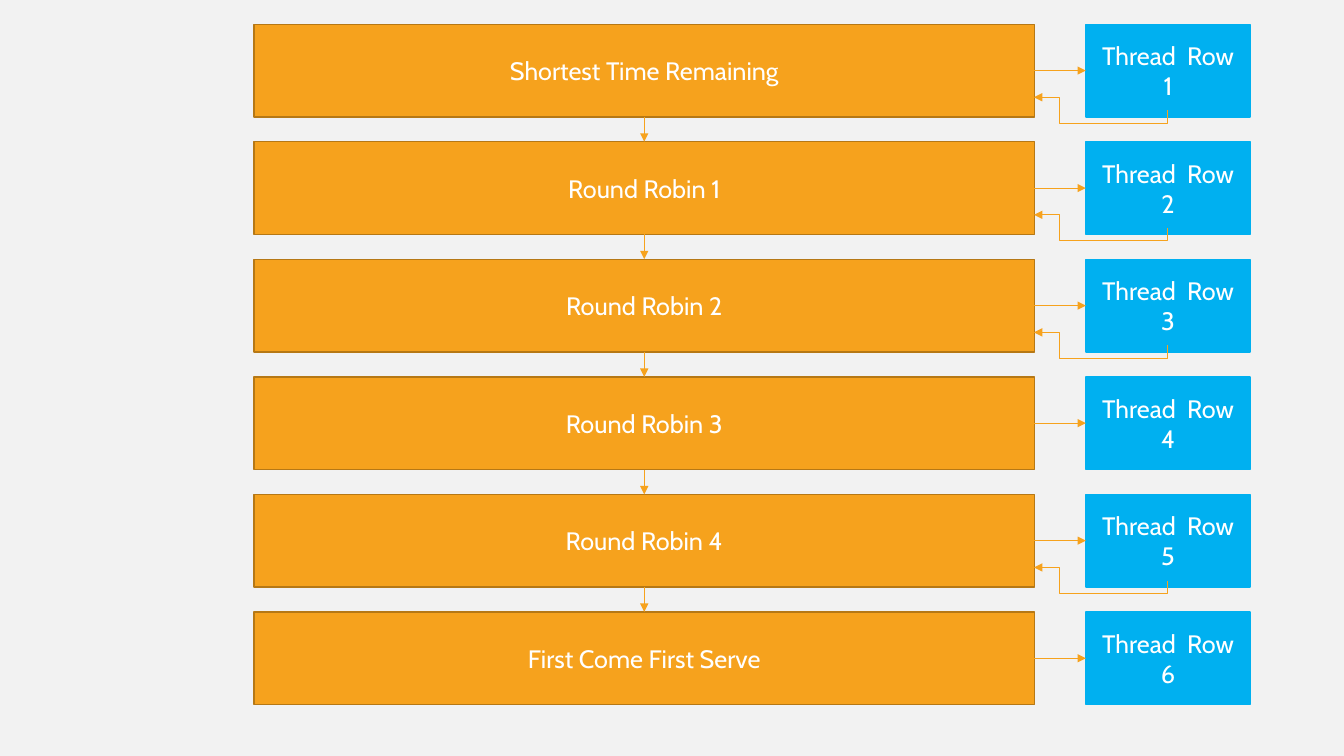
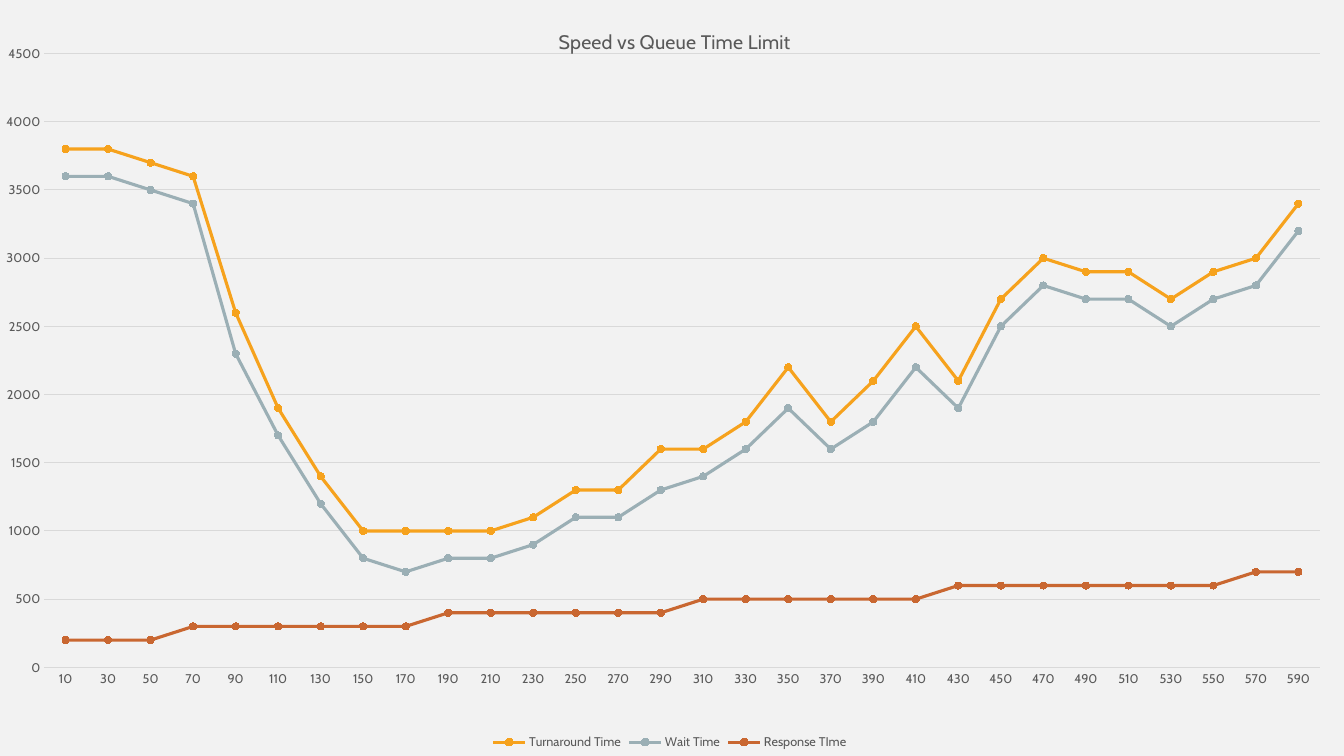
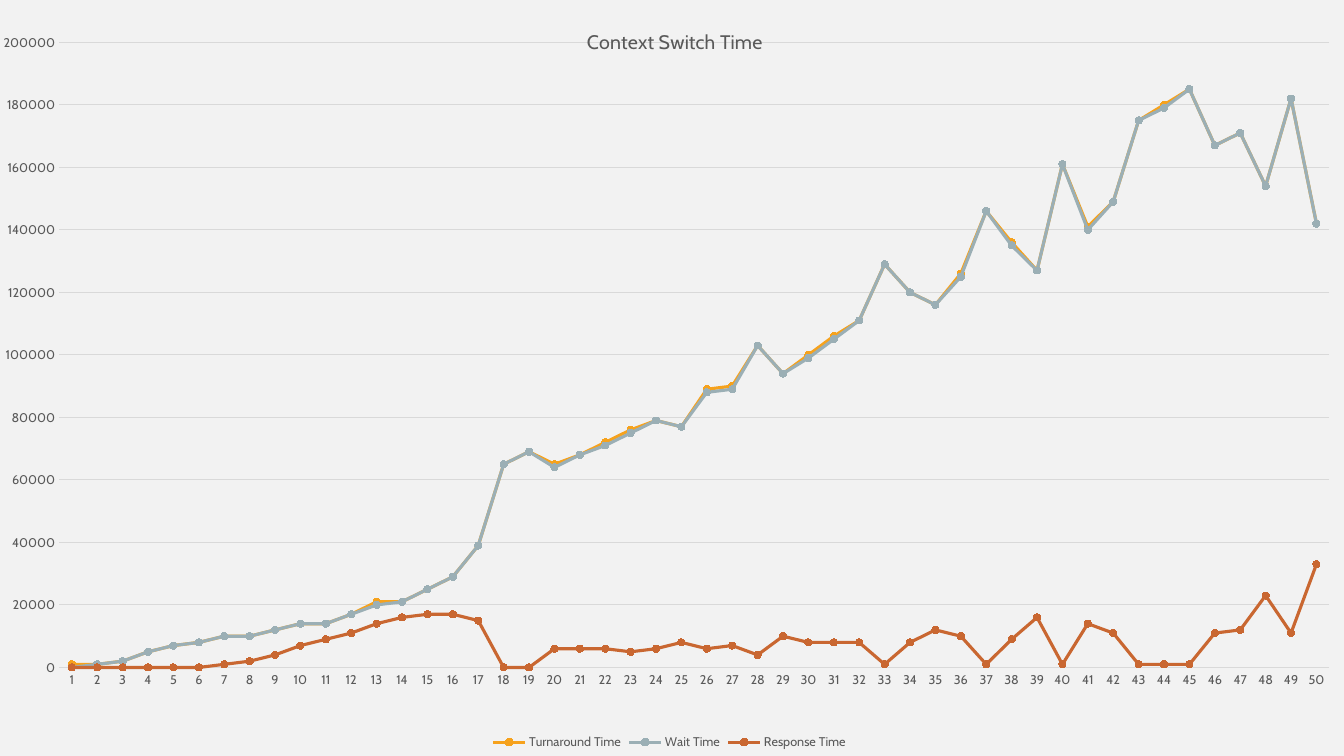
from lxml import etree
from pptx import Presentation
from pptx.chart.data import CategoryChartData
from pptx.dml.color import RGBColor
from pptx.enum.chart import XL_CHART_TYPE, XL_LEGEND_POSITION, XL_MARKER_STYLE, XL_TICK_MARK
from pptx.enum.shapes import MSO_CONNECTOR, MSO_SHAPE
from pptx.enum.text import MSO_ANCHOR, PP_ALIGN
from pptx.oxml.ns import qn
from pptx.util import Inches, Pt

RECTANGLE = MSO_SHAPE.RECTANGLE
STRAIGHT, ELBOW = MSO_CONNECTOR.STRAIGHT, MSO_CONNECTOR.ELBOW
TOP, LEFT, BOTTOM, RIGHT = range(4)
NO_TICKS = XL_TICK_MARK.NONE

FONT = "Cabin"
BACKGROUND, WHITE = "F2F2F2", "FFFFFF"
ORANGE, DARK_ORANGE, BLUE = "F6A21D", "B67815", "00B0F0"
GRAY_BLUE, RUST = "9BAFB5", "C96731"
TEXT_GRAY, GRID_GRAY = "595959", "D9D9D9"


def color(hex_string):
    return RGBColor.from_string(hex_string)


def set_layout(element, target=None, **edges):
    """Place a chart part by fractions of the chart area."""
    layout = element.find(qn("c:layout"))
    if layout is None:
        layout = etree.Element(qn("c:layout"))
        leading = (qn("c:tx"), qn("c:legendPos"))
        element.insert(sum(child.tag in leading for child in element), layout)
    manual = etree.SubElement(layout, qn("c:manualLayout"))
    settings = {"layoutTarget": target} if target else {}
    settings.update(xMode="edge", yMode="edge", **edges)
    for name, value in settings.items():
        etree.SubElement(manual, qn("c:" + name)).set("val", str(value))


# Shared presentation setup
presentation = Presentation()
presentation.slide_width = Inches(13.33)
presentation.slide_height = Inches(7.5)
background = presentation.slide_master.background.fill
background.solid()
background.fore_color.rgb = color(BACKGROUND)
blank_layout = presentation.slide_layouts[6]

# Slide 1: scheduling queues and their thread rows
slide = presentation.slides.add_slide(blank_layout)
queues = ["Shortest Time Remaining", "Round Robin 1", "Round Robin 2",
          "Round Robin 3", "Round Robin 4", "First Come First Serve"]
rows_with_return = (0, 1, 2, 4)
first_top, last_top, box_height = 0.24, 6.07, 0.92
row_step = (last_top - first_top) / (len(queues) - 1)

queue_boxes, thread_boxes = [], []
for row, queue in enumerate(queues):
    top = first_top + row * row_step
    for boxes, text, left, width, fill, line in (
            (queue_boxes, queue, 2.52, 7.74, ORANGE, DARK_ORANGE),
            (thread_boxes, f"Thread  Row {row + 1}", 10.77, 1.63, BLUE, BLUE)):
        shape = slide.shapes.add_shape(RECTANGLE, Inches(left), Inches(top),
                                       Inches(width), Inches(box_height))
        shape.shadow.inherit = False
        shape.fill.solid()
        shape.fill.fore_color.rgb = color(fill)
        shape.line.color.rgb = color(line)
        shape.line.width = Pt(1)
        text_frame = shape.text_frame
        text_frame.text = text
        text_frame.word_wrap = True
        text_frame.vertical_anchor = MSO_ANCHOR.MIDDLE
        paragraph = text_frame.paragraphs[0]
        paragraph.alignment = PP_ALIGN.CENTER
        font = paragraph.runs[0].font
        font.name, font.size = FONT, Pt(18)
        font.color.rgb = color(WHITE)
        boxes.append(shape)

# Straight arrows: queue to next queue, queue to thread row
links = [(upper, BOTTOM, lower, TOP) for upper, lower in zip(queue_boxes, queue_boxes[1:])]
links += [(queue, RIGHT, thread, LEFT) for queue, thread in zip(queue_boxes, thread_boxes)]
arrows = []
for start, start_side, end, end_side in links:
    connector = slide.shapes.add_connector(STRAIGHT, 0, 0, 0, 0)
    connector.begin_connect(start, start_side)
    connector.end_connect(end, end_side)
    arrows.append(connector)

# Bent arrows back from the thread rows, turned a quarter and flipped
rise, run = 0.13, 1.32
for row in rows_with_return:
    left = 10.85
    top = first_top + row * row_step + box_height - (run + rise) / 2 - rise / 2
    connector = slide.shapes.add_connector(ELBOW, Inches(left), Inches(top),
                                           Inches(left + rise), Inches(top + run))
    properties = connector.element.spPr
    frame = properties.find(qn("a:xfrm"))
    frame.set("rot", "5400000")
    frame.set("flipH", "1")
    geometry = properties.find(qn("a:prstGeom"))
    geometry.set("prst", "bentConnector4")
    adjustments = geometry.find(qn("a:avLst"))
    for name, value in (("adj1", -98500), ("adj2", 80800)):
        guide = etree.SubElement(adjustments, qn("a:gd"))
        guide.set("name", name)
        guide.set("fmla", f"val {value}")
    arrows.append(connector)

for connector in arrows:
    connector.line.color.rgb = color(ORANGE)
    connector.line.width = Pt(0.5)
    line = connector.line._get_or_add_ln()
    etree.SubElement(line, qn("a:tailEnd")).set("type", "triangle")
    etree.SubElement(connector.element.spPr, qn("a:effectLst"))

# Slides 2 and 3: full-slide line charts. Wait time is turnaround time less a
# usual gap, and one unit less again in the categories listed as "wider_gap".
charts = [
    {
        "title": "Speed vs Queue Time Limit",
        "title_left": 0.413,
        "categories": range(10, 591, 20),
        "maximum": 4500,
        "unit": 500,
        "plot": {"x": 0.033, "y": 0.071, "w": 0.949, "h": 0.812},
        "scale": 100,
        "turnaround": [38, 38, 37, 36, 26, 19, 14] + [10] * 4 + [
            11, 13, 13, 16, 16, 18, 22, 18, 21, 25,
            21, 27, 30, 29, 29, 27, 29, 30, 34],
        "gap": 2,
        "wider_gap": (90, 170, 290, 350, 390, 410),
        "response_name": "Response TIme",
        "response": [round(2.16 + 0.16 * step) for step in range(30)],
    },
    {
        "title": "Context Switch Time",
        "title_left": 0.434,
        "categories": range(1, 51),
        "maximum": 200000,
        "unit": 20000,
        "plot": {"x": 0.044, "y": 0.056, "w": 0.945, "h": 0.827},
        "scale": 1000,
        "turnaround": [
            1, 1, 2, 5, 7, 8, 10, 10, 12, 14,
            14, 17, 21, 21, 25, 29, 39, 65, 69, 65,
            68, 72, 76, 79, 77, 89, 90, 103, 94, 100,
            106, 111, 129, 120, 116, 126, 146, 136, 127, 161,
            141, 149, 175, 180, 185, 167, 171, 154, 182, 142],
        "gap": 0,
        "wider_gap": (1, 13, 20, 22, 23, 26, 27, 30, 31, 36, 38, 41, 44),
        "response_name": "Response Time",
        "response": [0] * 6 + [1, 2, 4, 7, 9, 11, 14, 16, 17, 17, 15, 0, 0] + [
            6, 6, 6, 5, 6, 8, 6, 7, 4, 10] + [8] * 3 + [
            1, 8, 12, 10, 1, 9, 16, 1, 14, 11] + [1] * 3 + [11, 12, 23, 11, 33],
    },
]

for content in charts:
    slide = presentation.slides.add_slide(blank_layout)
    categories, turnaround = content["categories"], content["turnaround"]
    wait = [value - content["gap"] - (category in content["wider_gap"])
            for category, value in zip(categories, turnaround)]
    chart_data = CategoryChartData()
    chart_data.categories = [str(category) for category in categories]
    for name, values in (("Turnaround Time", turnaround), ("Wait Time", wait),
                         (content["response_name"], content["response"])):
        chart_data.add_series(name, [value * content["scale"] for value in values])
    chart = slide.shapes.add_chart(
        XL_CHART_TYPE.LINE_MARKERS, 0, 0, presentation.slide_width,
        presentation.slide_height, chart_data).chart
    chart.font.name, chart.font.size = FONT, Pt(10)

    # Title and legend
    title_frame = chart.chart_title.text_frame
    title_frame.text = content["title"]
    title_font = title_frame.paragraphs[0].runs[0].font
    title_font.size, title_font.bold = Pt(14), False
    chart.has_legend = True
    chart.legend.position = XL_LEGEND_POSITION.BOTTOM
    chart.legend.include_in_layout = False

    # Axes
    category_axis, value_axis = chart.category_axis, chart.value_axis
    for axis in (category_axis, value_axis):
        axis.major_tick_mark = axis.minor_tick_mark = NO_TICKS
    value_axis.minimum_scale = 0
    value_axis.maximum_scale = content["maximum"]
    value_axis.major_unit = content["unit"]
    value_axis.format.line.fill.background()
    for line in (category_axis.format.line, value_axis.major_gridlines.format.line):
        line.color.rgb = color(GRID_GRAY)
        line.width = Pt(0.75)
    small_fonts = [category_axis.tick_labels.font, value_axis.tick_labels.font,
                   chart.legend.font]
    for font in small_fonts:
        font.size = Pt(9)
    for font in small_fonts + [title_font]:
        font.name = FONT
        font.color.rgb = color(TEXT_GRAY)

    # Series
    plot = chart.plots[0]
    plot.vary_by_categories = False
    for series, series_color in zip(plot.series, (ORANGE, GRAY_BLUE, RUST)):
        series.smooth = False
        series.format.line.width = Pt(2.25)
        marker = series.marker
        marker.style, marker.size = XL_MARKER_STYLE.CIRCLE, 5
        marker.format.fill.solid()
        marker.format.fill.fore_color.rgb = color(series_color)
        for line in (series.format.line, marker.format.line):
            line.color.rgb = color(series_color)

    # Placement inside the chart area
    chart_element = chart.element.find(qn("c:chart"))
    set_layout(chart_element.find(qn("c:title")), x=content["title_left"], y=0.033)
    set_layout(chart_element.find(qn("c:plotArea")), target="inner", **content["plot"])
    set_layout(chart_element.find(qn("c:legend")), x=0.364, y=0.966)

presentation.save("out.pptx")
